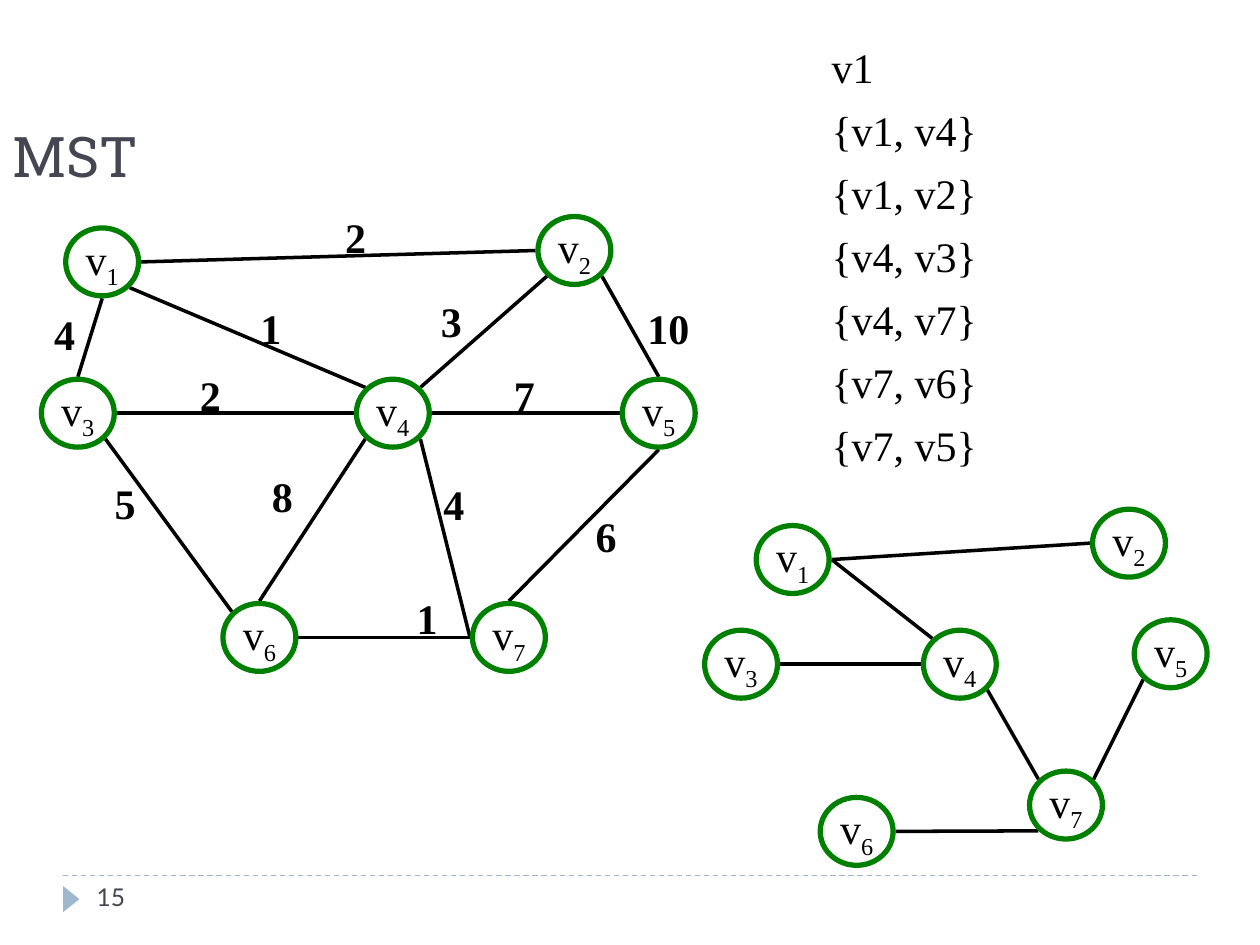
from dataclasses import dataclass
from math import sqrt

from lxml.etree import SubElement
from pptx import Presentation
from pptx.dml.color import RGBColor
from pptx.enum.dml import MSO_LINE
from pptx.enum.shapes import MSO_CONNECTOR, MSO_SHAPE
from pptx.enum.text import MSO_ANCHOR, MSO_AUTO_SIZE, PP_ALIGN
from pptx.oxml.ns import qn
from pptx.util import Cm, Pt


@dataclass(frozen=True)
class Theme:
    ink: RGBColor = RGBColor(0, 0, 0)
    heading: RGBColor = RGBColor(0x46, 0x46, 0x53)
    node: RGBColor = RGBColor(0, 0x80, 0)
    accent: RGBColor = RGBColor(0x9F, 0xB8, 0xCD)
    title_size: int = 32
    body_size: int = 24
    footer_size: int = 14
    title_font: str = "Roboto Slab"
    body_font: str = "Times New Roman"
    footer_font: str = "Lato"


THEME = Theme()
BODY = {"name": THEME.body_font, "size": Pt(THEME.body_size), "bold": False}
WEIGHT = {**BODY, "bold": True}
TITLE = {"name": THEME.title_font, "size": Pt(THEME.title_size), "bold": False}
FOOTER = {"name": THEME.footer_font, "size": Pt(THEME.footer_size)}

NODE_WIDTH, NODE_HEIGHT, NODE_GAP = 1.47, 1.37, 0.05
DIAGONAL = sqrt(0.5)
SIDES = {
    "top": (0, -1),
    "bottom": (0, 1),
    "left": (-1, 0),
    "right": (1, 0),
    "top left": (-DIAGONAL, -DIAGONAL),
    "top right": (DIAGONAL, -DIAGONAL),
    "bottom left": (-DIAGONAL, DIAGONAL),
    "bottom right": (DIAGONAL, DIAGONAL),
}

GRAPH_NODES = {
    1: (2.06, 5.28), 2: (11.58, 5.05), 3: (1.57, 8.33), 4: (7.92, 8.33),
    5: (13.28, 8.33), 6: (5.23, 12.85), 7: (10.26, 12.85),
}
GRAPH_EDGES = [
    (1, "bottom right", 4, "top left"),
    (4, "bottom right", 7, "left"),
    (4, "right", 5, "left"),
    (6, "right", 7, "left"),
    (1, "bottom", 3, "top"),
    (3, "bottom right", 6, "top left"),
    (4, "bottom left", 6, "top"),
    (5, "top", 2, "bottom right"),
    (3, "right", 4, "left"),
    (2, "left", 1, "right"),
    (4, "top right", 2, "bottom left"),
    (7, "top", 5, "bottom"),
]
WEIGHTS = [
    ("2", 3.78, 7.32), ("2", 6.71, 4.14), ("5", 2.06, 9.5), ("4", 0.84, 6.1),
    ("7", 10.11, 7.32), ("1", 5, 5.97), ("10", 12.8, 5.97), ("4", 8.69, 9.53),
    ("6", 11.76, 10.16), ("3", 8.64, 5.84), ("8", 5.23, 9.37), ("1", 8.15, 11.81),
]
TREE_NODES = {
    1: (15.98, 11.28), 2: (22.76, 10.95), 3: (14.94, 13.39), 4: (19.35, 13.39),
    5: (23.6, 13.18), 6: (17.27, 16.76), 7: (21.49, 16.23),
}
TREE_EDGES = [
    (1, "right", 4, "top left"),
    (2, "left", 1, "right"),
    (3, "right", 4, "left"),
    (4, "bottom right", 7, "top left"),
    (7, "top right", 5, "bottom left"),
    (6, "right", 7, "bottom left"),
]
STEPS = ["v1", "{v1, v4}", "{v1, v2}", "{v4, v3}", "{v4, v7}", "{v7, v6}", "{v7, v5}"]


def apply(target, values):
    for name, value in values.items():
        setattr(target, name, value)


def place(shape, left, top, width, height):
    apply(shape, {"left": Cm(left), "top": Cm(top), "width": Cm(width), "height": Cm(height)})


def add_run(paragraph, text, font_format, color):
    run = paragraph.add_run()
    run.text = text
    apply(run.font, font_format)
    run.font.color.rgb = color
    return run


def add_title(slide, text):
    title = slide.shapes.title
    place(title, 0, 0.76, 22.86, 3.18)
    apply(title.text_frame, {"auto_size": MSO_AUTO_SIZE.NONE, "vertical_anchor": MSO_ANCHOR.BOTTOM})
    paragraph = title.text_frame.paragraphs[0]
    paragraph.alignment = PP_ALIGN.LEFT
    add_run(paragraph, text, TITLE, THEME.heading)


def add_steps(slide, steps):
    body = slide.placeholders[1]
    place(body, 16.51, 0.9, 7.62, 7.54)
    frame = body.text_frame
    apply(frame, {"auto_size": MSO_AUTO_SIZE.NONE, "vertical_anchor": MSO_ANCHOR.TOP})
    for index, step in enumerate(steps):
        paragraph = frame.add_paragraph() if index else frame.paragraphs[0]
        apply(paragraph, {"line_spacing": 0.8, "space_before": Pt(13 if index else 0)})
        properties = paragraph._p.get_or_add_pPr()
        properties.set("marL", "0")
        properties.set("indent", "0")
        SubElement(properties, qn("a:buNone"))
        add_run(paragraph, step, BODY, THEME.ink)


def add_label(slide, text, left, top, width, height, font_format, color, wrap=False):
    label = slide.shapes.add_textbox(Cm(left), Cm(top), Cm(width), Cm(height))
    label.text_frame.word_wrap = wrap
    add_run(label.text_frame.paragraphs[0], text, font_format, color)


def add_line(slide, start, end, color, line_format):
    ends = [Cm(value) for value in (*start, *end)]
    line = slide.shapes.add_connector(MSO_CONNECTOR.STRAIGHT, *ends)
    line.line.color.rgb = color
    apply(line.line, line_format)
    SubElement(line._element.spPr, qn("a:effectLst"))


def add_node(slide, number, center):
    x, y = center
    node = slide.shapes.add_shape(
        MSO_SHAPE.OVAL, Cm(x - NODE_WIDTH / 2), Cm(y - NODE_HEIGHT / 2),
        Cm(NODE_WIDTH), Cm(NODE_HEIGHT))
    node.shadow.inherit = False
    node.fill.background()
    node.line.color.rgb = THEME.node
    node.line.width = Pt(3)
    apply(node.text_frame, {"word_wrap": False, "vertical_anchor": MSO_ANCHOR.MIDDLE})
    paragraph = node.text_frame.paragraphs[0]
    paragraph.alignment = PP_ALIGN.CENTER
    add_run(paragraph, "v", BODY, THEME.ink)
    subscript = add_run(paragraph, str(number), BODY, THEME.ink)
    subscript._r.get_or_add_rPr().set("baseline", "-25000")


def side_point(center, side):
    x, y = center
    across, down = SIDES[side]
    return (x + across * (NODE_WIDTH / 2 + NODE_GAP), y + down * (NODE_HEIGHT / 2 + NODE_GAP))


def add_graph(slide, nodes, edges):
    for first, first_side, second, second_side in edges:
        add_line(slide, side_point(nodes[first], first_side),
                 side_point(nodes[second], second_side), THEME.ink, {"width": Pt(2)})
    for number, center in nodes.items():
        add_node(slide, number, center)


def add_footer(slide, number):
    add_line(slide, (1.27, 17.65), (24.13, 17.65), THEME.accent,
             {"width": Pt(0.75), "dash_style": MSO_LINE.DASH})
    marker = slide.shapes.add_shape(
        MSO_SHAPE.ISOSCELES_TRIANGLE, Cm(1.17), Cm(17.96), Cm(0.53), Cm(0.33))
    marker.rotation = 90
    marker.shadow.inherit = False
    marker.fill.solid()
    marker.fill.fore_color.rgb = THEME.accent
    marker.line.fill.background()
    add_label(slide, number, 1.7, 17.65, 5.51, 1.02, FOOTER, THEME.heading, wrap=True)


def main():
    presentation = Presentation()
    apply(presentation, {"slide_width": Cm(25.4), "slide_height": Cm(19.05)})
    slide = presentation.slides.add_slide(presentation.slide_layouts[1])
    add_footer(slide, "15")
    add_title(slide, "MST")
    add_graph(slide, GRAPH_NODES, GRAPH_EDGES)
    for text, left, top in WEIGHTS:
        add_label(slide, text, left, top, 0.52 + 0.42 * len(text), 1.27, WEIGHT, THEME.ink)
    add_steps(slide, STEPS)
    add_graph(slide, TREE_NODES, TREE_EDGES)
    presentation.save("out.pptx")


main()
